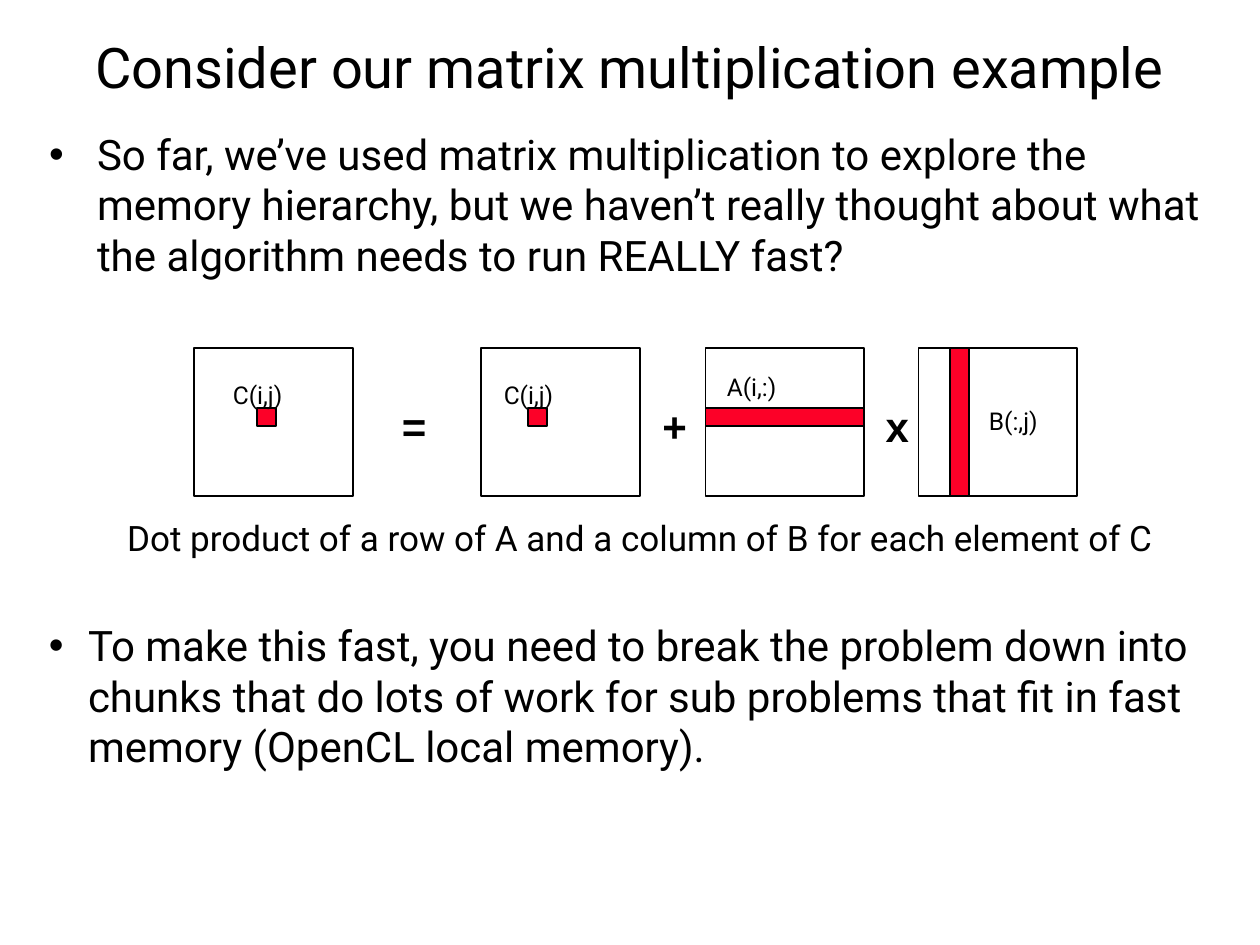
from lxml import etree
from pptx import Presentation
from pptx.dml.color import RGBColor
from pptx.enum.shapes import MSO_SHAPE
from pptx.enum.text import MSO_ANCHOR, MSO_AUTO_SIZE, PP_ALIGN
from pptx.oxml.ns import qn
from pptx.util import Inches, Pt

RECTANGLE = MSO_SHAPE.RECTANGLE
TOP, MIDDLE = MSO_ANCHOR.TOP, MSO_ANCHOR.MIDDLE
LEFT, CENTER = PP_ALIGN.LEFT, PP_ALIGN.CENTER
NO_AUTOFIT = MSO_AUTO_SIZE.NONE
COLORS = {"ink": "000000", "highlight": "FC0128"}

prs = Presentation()
prs.slide_width, prs.slide_height = Inches(10), Inches(7.5)
slide = prs.slides.add_slide(prs.slide_layouts[1])


def write(holder, box, text, size, font="Roboto", bold=False, align=LEFT,
          anchor=TOP, wrap=True, indent=0):
    holder.left, holder.top, holder.width, holder.height = map(Inches, box)
    frame = holder.text_frame
    frame.auto_size = NO_AUTOFIT
    frame.word_wrap = wrap
    frame.vertical_anchor = anchor
    frame.text = text
    paragraph = frame.paragraphs[0]
    paragraph.alignment = align
    paragraph.space_before = Pt(0)
    if indent:
        properties = paragraph._p.get_or_add_pPr()
        properties.set("marL", str(Inches(indent)))
        properties.set("indent", str(-Inches(indent)))
        etree.SubElement(properties, qn("a:buFont")).set("typeface", "Arial")
        etree.SubElement(properties, qn("a:buChar")).set("char", "•")
    paragraph.font.name = font
    paragraph.font.size = Pt(size)
    paragraph.font.bold = bold
    paragraph.font.color.rgb = RGBColor.from_string(COLORS["ink"])


def draw_block(left, top, width, height, fill=None):
    block = slide.shapes.add_shape(RECTANGLE, *map(Inches, (left, top, width, height)))
    block.shadow.inherit = False
    if fill:
        block.fill.solid()
        block.fill.fore_color.rgb = RGBColor.from_string(COLORS[fill])
    else:
        block.fill.background()
    block.line.color.rgb = RGBColor.from_string(COLORS["ink"])
    block.line.width = Pt(1)


write(slide.shapes.title, (0.12, -0.1, 9.76, 1.25),
      "Consider our matrix multiplication example", 32, align=CENTER, anchor=MIDDLE)
write(slide.placeholders[1], (0.29, 0.97, 9.49, 1.62),
      "So far, we’ve used matrix multiplication to explore the memory hierarchy, "
      "but we haven’t really thought about what the algorithm needs to run REALLY fast?",
      24, indent=0.38)
advice = slide.shapes.add_textbox(0, 0, 0, 0)
write(advice, (0.29, 4.87, 9.51, 1.72),
      "To make this fast, you need to break the problem down into chunks that do lots "
      "of work for sub problems that fit in fast memory (OpenCL local memory).",
      24, indent=0.31)

matrix_top, matrix_width, matrix_height = 2.76, 1.26, 1.18
strip_width, strip_height = 0.15, 0.14
row_top = matrix_top + 0.48
element = (row_top, strip_width, strip_height)
row = (row_top, matrix_width, strip_height)
column = (matrix_top, strip_width, matrix_height)

matrices = [
    (1.54, 2.04, element, "C(i,j)", 1.75, 2.97),
    (3.82, 4.19, element, "C(i,j)", 3.9, 2.97),
    (5.6, 5.6, row, "A(i,:)", 5.67, 2.9),
    (7.29, 7.54, column, "B(:,j)", 7.75, 3.17),
]
for matrix_left, part_left, part, label, label_left, label_top in matrices:
    draw_block(matrix_left, matrix_top, matrix_width, matrix_height)
    draw_block(part_left, *part, fill="highlight")
    caption = slide.shapes.add_textbox(0, 0, 0, 0)
    write(caption, (label_left, label_top, 0.74, 0.34), label, 14, wrap=False)

for symbol, left, width in [("=", 3.09, 0.59), ("+", 5.16, 0.3), ("x", 6.93, 0.28)]:
    operator = slide.shapes.add_textbox(0, 0, 0, 0)
    write(operator, (left, 3.13, width, 0.5), symbol, 24, font="Arial", bold=True, wrap=False)

summary = slide.shapes.add_textbox(0, 0, 0, 0)
write(summary, (0.67, 4.05, 8.82, 0.43),
      "Dot product of a row of A and a column of B for each element of C", 20, align=CENTER)

prs.save("out.pptx")
